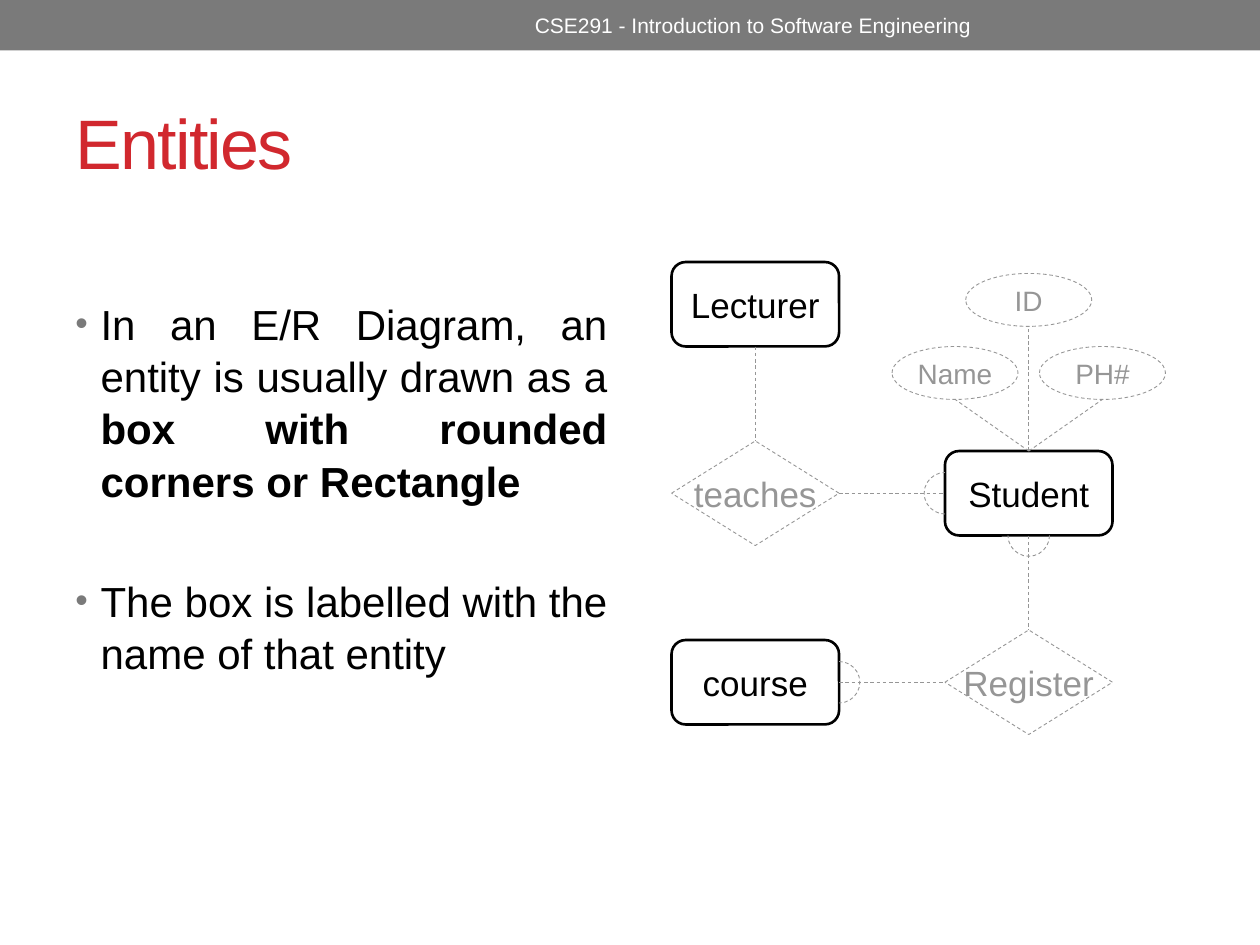
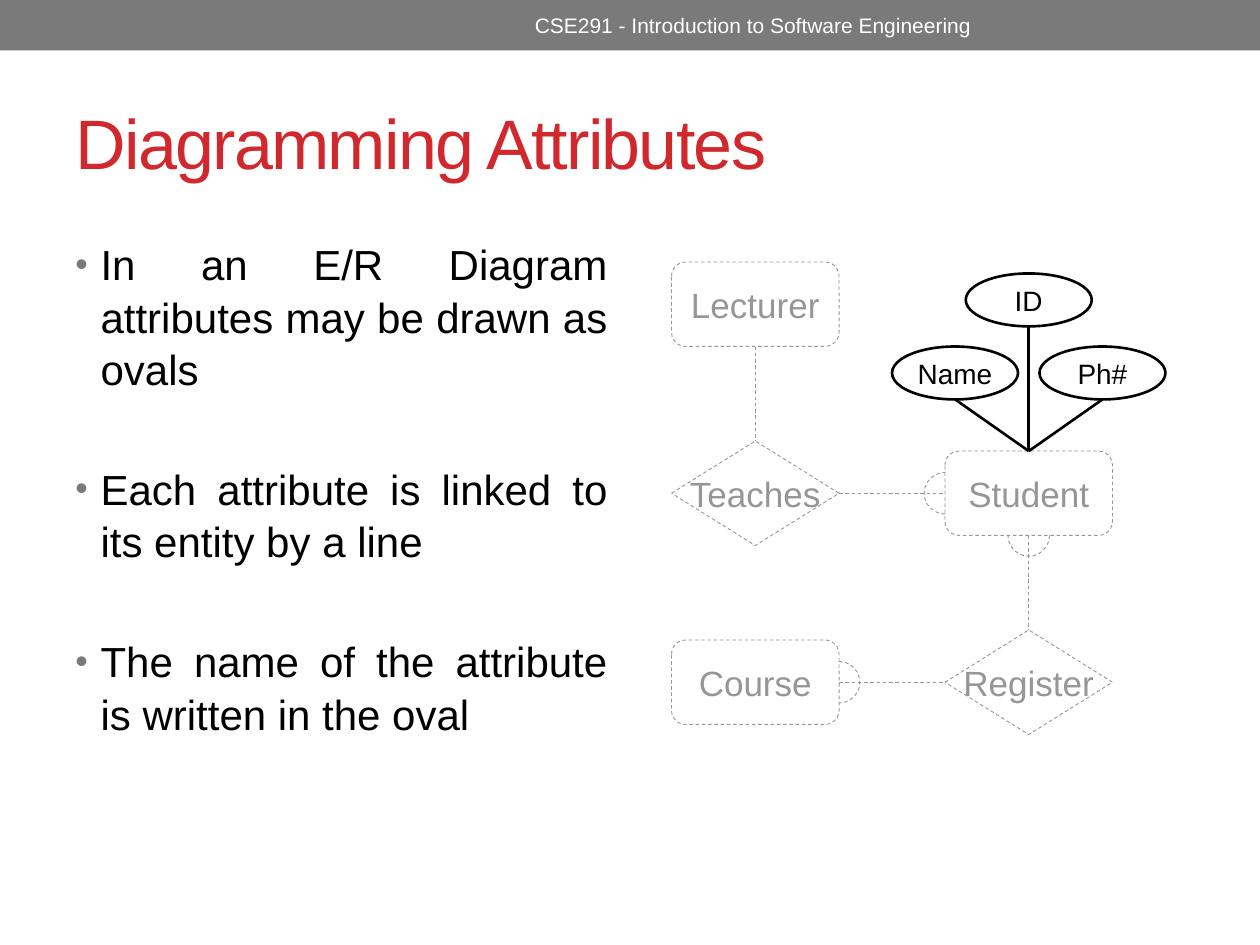
from lxml import etree
from pptx import Presentation
from pptx.dml.color import RGBColor
from pptx.enum.dml import MSO_LINE
from pptx.enum.shapes import MSO_CONNECTOR, MSO_SHAPE
from pptx.enum.text import MSO_ANCHOR, PP_ALIGN
from pptx.oxml.ns import qn
from pptx.util import Inches, Pt

RECT, ROUNDED, DIAMOND = MSO_SHAPE.RECTANGLE, MSO_SHAPE.ROUNDED_RECTANGLE, MSO_SHAPE.DIAMOND
OVAL, ARC = MSO_SHAPE.OVAL, MSO_SHAPE.ARC
STRAIGHT, DASH = MSO_CONNECTOR.STRAIGHT, MSO_LINE.DASH
LEFT, CENTER, JUSTIFY = PP_ALIGN.LEFT, PP_ALIGN.CENTER, PP_ALIGN.JUSTIFY
MIDDLE = MSO_ANCHOR.MIDDLE

FONT = "Arial"
RED, GREY, FAINT, BLACK, WHITE = "D1282E", "7A7A7A", "969696", "000000", "FFFFFF"
COURSE = "CSE291 - Introduction to Software Engineering "
TITLE_BOX = (0.5, 0.58, 9, 1.08)
BODY_BOX = (0.5, 1.83, 4.42, 5.16)
DIAGRAM_AT = (5.33, 2.08)
NODE_W, ENTITY_H, RELATION_H = 1.33, 0.67, 0.83
OVAL_W, OVAL_H = 1, 0.42
ARC_SIZE = 0.33


def rgb(code):
    """Return the colour for a hex string."""
    return RGBColor.from_string(code)


def inches(*lengths):
    """Convert lengths to inches."""
    return [Inches(length) for length in lengths]


def format_text(p, size, color, align):
    """Format a paragraph and its runs."""
    p.alignment = align
    for r in p.runs:
        r.font.name, r.font.size = FONT, Pt(size)
        r.font.color.rgb = rgb(color)


def style_line(line, strong):
    """Draw a line solid black, or faint and dashed."""
    line.color.rgb = rgb(BLACK if strong else FAINT)
    line.width = Pt(1.5 if strong else 0.5)
    if not strong:
        line.dash_style = DASH


def add_outline(s, kind, box, strong):
    """Add an unfilled shape."""
    sp = s.shapes.add_shape(kind, *inches(*box))
    sp.shadow.inherit = False
    sp.fill.background()
    style_line(sp.line, strong)
    return sp


def add_node(s, kind, box, label, strong, size=20):
    """Add a labelled diagram shape."""
    sp = add_outline(s, kind, box, strong)
    if kind == ROUNDED:
        sp.adjustments[0] = 0.167
    tf = sp.text_frame
    tf.text = label
    tf.word_wrap, tf.vertical_anchor = False, MIDDLE
    format_text(tf.paragraphs[0], size, BLACK if strong else FAINT, CENTER)


def add_link(s, start, end, strong=False):
    """Connect two points."""
    line = s.shapes.add_connector(STRAIGHT, *inches(*start, *end))
    etree.SubElement(line.element.spPr, qn("a:effectLst"))
    style_line(line.line, strong)


def add_half_circle(s, center, start, end):
    """Add a half circle around a point, between two angles in degrees."""
    x, y = center
    box = (x - ARC_SIZE / 2, y - ARC_SIZE / 2, ARC_SIZE, ARC_SIZE)
    sp = add_outline(s, ARC, box, False)
    for i, angle in enumerate((start, end)):
        sp.adjustments[i] = angle * 0.6


def add_diagram(s, at, labels, strong_entities):
    """Draw the entity diagram with either entities or attributes stressed."""
    x, y = at
    lecturer, student, course, teaches, register, *attributes = labels
    right = x + 2.17
    left_mid, right_mid = x + NODE_W / 2, right + NODE_W / 2
    student_y, course_y = y + 1.5, y + 3
    teaches_y, register_y = y + 1.42, y + 2.92
    upper_mid, lower_mid = student_y + ENTITY_H / 2, course_y + ENTITY_H / 2

    for label, left, top in ((student, right, student_y), (lecturer, x, y), (course, x, course_y)):
        add_node(s, ROUNDED, (left, top, NODE_W, ENTITY_H), label, strong_entities)
    for label, left, top in ((teaches, x, teaches_y), (register, right, register_y)):
        add_node(s, DIAMOND, (left, top, NODE_W, RELATION_H), label, False)

    add_link(s, (left_mid, y + ENTITY_H), (left_mid, teaches_y))
    add_link(s, (x + NODE_W, upper_mid), (right, upper_mid))
    add_link(s, (right_mid, student_y + ENTITY_H), (right_mid, register_y))
    add_link(s, (x + NODE_W, lower_mid), (right, lower_mid))

    add_half_circle(s, (x + NODE_W, lower_mid), 270, 90)
    add_half_circle(s, (right, upper_mid), 90, 270)
    add_half_circle(s, (right_mid, student_y + ENTITY_H), 0, 180)

    for label, shift, top in zip(attributes, (0, 0.585, -0.585), (0.09, 0.67, 0.67)):
        middle = right_mid + shift
        box = (middle - OVAL_W / 2, y + top, OVAL_W, OVAL_H)
        add_node(s, OVAL, box, label, not strong_entities, 16)
        add_link(s, (right_mid, student_y), (middle, y + top + OVAL_H), not strong_entities)


def add_bullet(p):
    """Give a paragraph a hanging grey bullet."""
    pPr = p._p.get_or_add_pPr()
    pPr.set("marL", str(Inches(0.2)))
    pPr.set("indent", str(-Inches(0.2)))
    color = etree.SubElement(pPr, qn("a:buClr"))
    etree.SubElement(color, qn("a:srgbClr"), val=GREY)
    etree.SubElement(pPr, qn("a:buSzPct"), val="85000")
    etree.SubElement(pPr, qn("a:buFont"), typeface=FONT)
    etree.SubElement(pPr, qn("a:buChar"), char="•")


def add_body(s, box, points, offset):
    """Add the bullet list; the second part of a point is bold."""
    tf = s.shapes.add_textbox(*inches(*box)).text_frame
    tf.word_wrap = True
    tf.margin_top = Inches(0.05 + offset)
    for i, (plain, *bold) in enumerate(points):
        p = tf.add_paragraph() if i else tf.paragraphs[0]
        add_bullet(p)
        p.text = plain
        for text in bold:
            r = p.add_run()
            r.text = text
            r.font.bold = True
        p.line_spacing = 1.04
        p.space_before = Pt(38.6 if i else 0)
        format_text(p, 24, BLACK, JUSTIFY)


def add_header(s):
    """Add the top band with the course name."""
    band = s.shapes.add_shape(RECT, *inches(0, 0, 10, 0.4))
    band.shadow.inherit = False
    band.fill.solid()
    band.fill.fore_color.rgb = rgb(GREY)
    band.line.fill.background()
    tf = s.shapes.add_textbox(*inches(3.75, 0.02, 4.5, 0.36)).text_frame
    tf.word_wrap, tf.vertical_anchor = True, MIDDLE
    tf.text = COURSE
    format_text(tf.paragraphs[0], 12, WHITE, CENTER)


def add_title(s, box, text):
    """Place and format the slide title."""
    title = s.shapes.title
    title.left, title.top, title.width, title.height = inches(*box)
    tf = title.text_frame
    tf.text = text
    tf.vertical_anchor = MIDDLE
    p = tf.paragraphs[0]
    format_text(p, 40, RED, LEFT)
    p.runs[0].font._element.set("spc", "-100")


def add_topic_slide(prs, title, points, labels, strong_entities, offset=0):
    """Add a slide with bullets on the left and the diagram on the right."""
    s = prs.slides.add_slide(prs.slide_layouts[5])
    add_header(s)
    add_title(s, TITLE_BOX, title)
    add_body(s, BODY_BOX, points, offset)
    add_diagram(s, DIAGRAM_AT, labels, strong_entities)


def main():
    """Build the presentation."""
    prs = Presentation()
    prs.slide_width, prs.slide_height = inches(10, 7.5)
    add_topic_slide(
        prs, "Entities",
        [("In an E/R Diagram, an entity is usually drawn as a ",
          "box with rounded corners or Rectangle"),
         ("The box is labelled with the name of that entity",)],
        ("Lecturer", "Student", "course", "teaches", "Register", "ID", "PH#", "Name"),
        strong_entities=True, offset=0.47)
    add_topic_slide(
        prs, "Diagramming Attributes",
        [("In an E/R Diagram attributes may be drawn as ovals",),
         ("Each attribute is linked to its entity by a line",),
         ("The name of the attribute is written in the oval",)],
        ("Lecturer", "Student", "Course", "Teaches", "Register", "ID", "Ph#", "Name"),
        strong_entities=False)
    prs.save("out.pptx")


if __name__ == "__main__":
    main()
